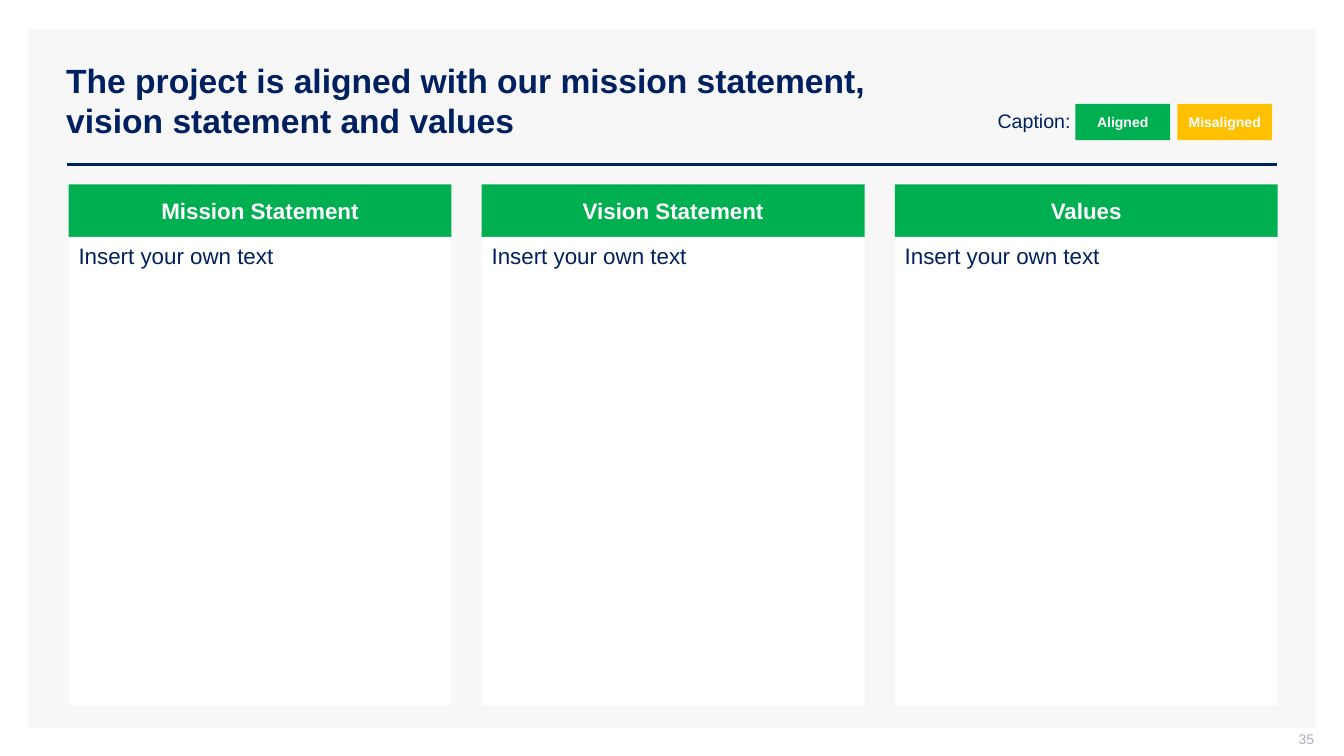
"""Build a slide showing how the project aligns with mission, vision and values."""
from lxml.etree import SubElement
from pptx import Presentation
from pptx.dml.color import RGBColor
from pptx.enum.shapes import MSO_CONNECTOR, MSO_SHAPE
from pptx.enum.text import MSO_ANCHOR, PP_ALIGN
from pptx.oxml.ns import qn
from pptx.util import Cm, Pt


def color(value):
    return RGBColor.from_string(value)


def write(shape, text, size=16, ink="002060", bold=False, align=PP_ALIGN.LEFT,
          anchor=MSO_ANCHOR.TOP, margins=(0.25, 0.13, 0.25, 0.13)):
    frame = shape.text_frame
    frame.word_wrap = True
    frame.vertical_anchor = anchor
    frame.margin_left, frame.margin_top, frame.margin_right, frame.margin_bottom = map(Cm, margins)
    para = frame.paragraphs[0]
    para.alignment = align
    span = para.add_run()
    span.text = text
    span.font.name = SlideBuilder.font
    span.font.size = Pt(size)
    span.font.bold = bold
    span.font.color.rgb = color(ink)


class SlideBuilder:
    font = "Arial"
    navy, green, amber = "002060", "00B050", "FFC000"
    white, pale, gray = "FFFFFF", "F7F7F7", "ADAFBB"

    def __init__(self, page):
        self.page = page

    def panel(self, left, top, width, height, fill):
        box = self.page.shapes.add_shape(
            MSO_SHAPE.RECTANGLE, Cm(left), Cm(top), Cm(width), Cm(height))
        box.shadow.inherit = False
        box.fill.solid()
        box.fill.fore_color.rgb = color(fill)
        box.line.fill.background()
        return box

    def label(self, left, top, width, height, text, **style):
        box = self.page.shapes.add_textbox(Cm(left), Cm(top), Cm(width), Cm(height))
        write(box, text, **style)

    def banner(self, left, top, width, height, text, fill, size):
        box = self.panel(left, top, width, height, fill)
        write(box, text, size=size, ink=self.white, bold=True,
              align=PP_ALIGN.CENTER, anchor=MSO_ANCHOR.MIDDLE)

    def column(self, left, heading, body):
        self.banner(left, 4.65, 9.65, 1.32, heading, self.green, 16)
        write(self.panel(left, 5.97, 9.65, 11.81, self.white), body)

    def rule(self, left, right, top):
        line = self.page.shapes.add_connector(
            MSO_CONNECTOR.STRAIGHT, Cm(left), Cm(top), Cm(right), Cm(top))
        line.line.color.rgb = color(self.navy)
        line.line.width = Pt(2)
        SubElement(line._element.spPr, qn("a:effectLst"))


def main():
    deck = Presentation()
    deck.slide_width, deck.slide_height = Cm(33.87), Cm(19.05)
    builder = SlideBuilder(deck.slides.add_slide(deck.slide_layouts[6]))

    builder.panel(0.71, 0.74, 32.46, 17.6, builder.pale)
    builder.rule(1.68, 32.18, 4.14)
    builder.label(1.42, 1.02, 22.76, 3.02,
                  "The project is aligned with our mission statement, "
                  "vision statement and values",
                  size=24, bold=True, anchor=MSO_ANCHOR.MIDDLE)
    builder.label(25.5, 18.42, 7.62, 0.53, "35", size=10, ink=builder.gray,
                  align=PP_ALIGN.RIGHT, anchor=MSO_ANCHOR.MIDDLE,
                  margins=(0.25, 0, 0, 0.13))

    for index, heading in enumerate(("Mission Statement", "Vision Statement", "Values")):
        builder.column(1.73 + 10.41 * index, heading, "Insert your own text")

    builder.label(24.89, 2.62, 2.74, 0.89, "Caption:", size=14)
    legend = (("Aligned", builder.green), ("Misaligned", builder.amber))
    for index, (text, fill) in enumerate(legend):
        builder.banner(27.1 + 2.57 * index, 2.62, 2.39, 0.91, text, fill, 10)

    deck.save("out.pptx")


if __name__ == "__main__":
    main()
